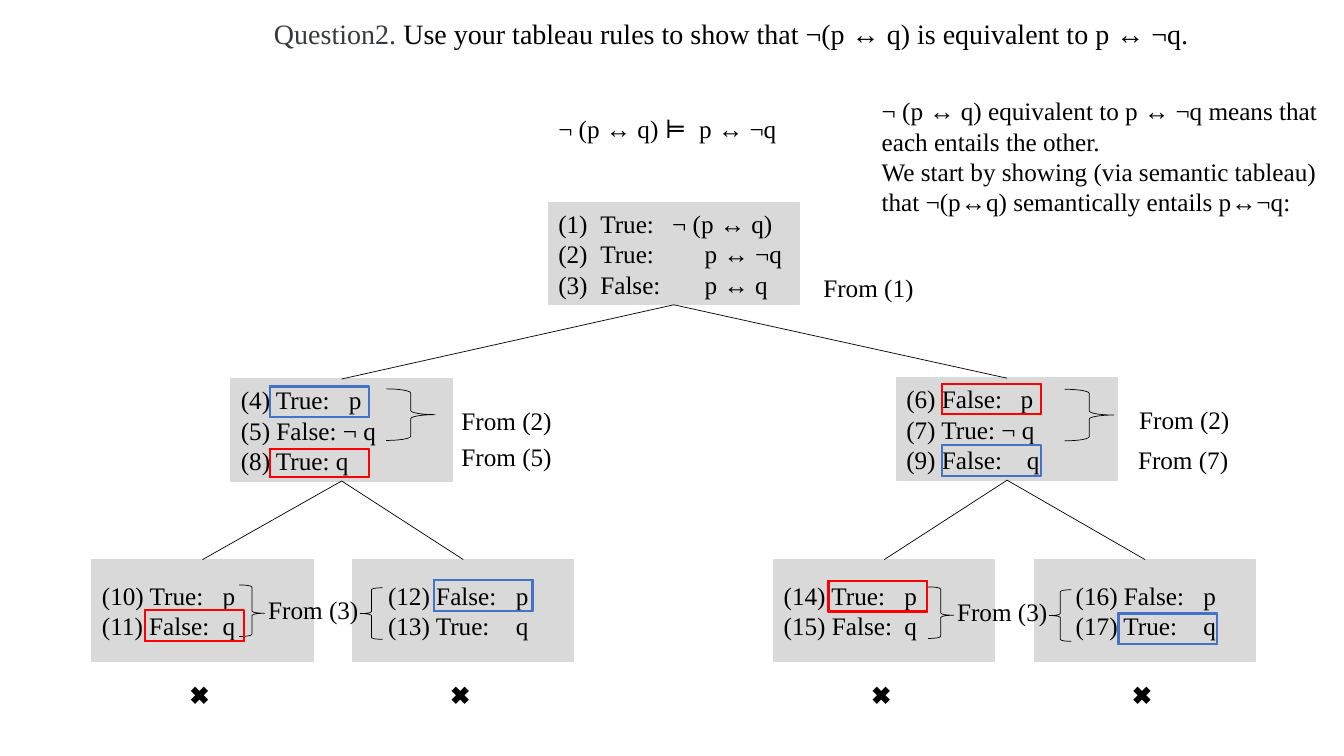
from dataclasses import dataclass

from lxml import etree
from pptx import Presentation
from pptx.dml.color import RGBColor
from pptx.enum.shapes import MSO_CONNECTOR, MSO_SHAPE
from pptx.enum.text import MSO_ANCHOR, MSO_AUTO_SIZE, PP_ALIGN
from pptx.oxml.ns import qn
from pptx.util import Cm, Pt

RECT, FRAME, BRACE = MSO_SHAPE.RECTANGLE, MSO_SHAPE.FRAME, MSO_SHAPE.RIGHT_BRACE
STRAIGHT = MSO_CONNECTOR.STRAIGHT
TOP, MIDDLE = MSO_ANCHOR.TOP, MSO_ANCHOR.MIDDLE
LEFT = PP_ALIGN.LEFT
NO_FIT = MSO_AUTO_SIZE.NONE
BOTTOM_SITE, TOP_SITE = 2, 0


@dataclass(frozen=True)
class Theme:
    ink: RGBColor = RGBColor(0x00, 0x00, 0x00)
    heading: RGBColor = RGBColor(0x37, 0x3A, 0x3C)
    node: RGBColor = RGBColor(0xD9, 0xD9, 0xD9)
    red: RGBColor = RGBColor(0xFF, 0x00, 0x00)
    blue: RGBColor = RGBColor(0x44, 0x72, 0xC4)
    font: str = "Times New Roman"
    symbol_font: str = "Noto Sans CJK JP"
    title_size: Pt = Pt(20)
    body_size: Pt = Pt(18)
    thin: Pt = Pt(0.5)
    outline: Pt = Pt(1)


THEME = Theme()


# Shared helpers
def apply(target, values):
    for name, value in values.items():
        setattr(target, name, value)


def add_run(p, text, color=THEME.ink, size=THEME.body_size, font=THEME.font):
    r = p.add_run()
    r.text = text
    apply(r.font, {"size": size, "name": font})
    r.font.color.rgb = color


def write_rows(tf, rows, font=THEME.font):
    """Each row is its text followed by its tab stops in cm."""
    for i, (text, *stops) in enumerate(rows):
        p = tf.add_paragraph() if i else tf.paragraphs[0]
        p.alignment = LEFT
        if stops:
            tabs = etree.SubElement(p._p.get_or_add_pPr(), qn("a:tabLst"))
            for stop in stops:
                etree.SubElement(tabs, qn("a:tab"), pos=str(Cm(stop)), algn="l")
        add_run(p, text, font=font)


def add_text(slide, box, rows, wrap=False, font=THEME.font):
    sp = slide.shapes.add_textbox(*map(Cm, box))
    apply(sp.text_frame, {"word_wrap": wrap, "vertical_anchor": TOP})
    write_rows(sp.text_frame, rows, font)


def add_reason(slide, x, y, text):
    add_text(slide, (x, y, 2.82, 1.02), [(text,)])


def add_outline(slide, kind, box, line, width, fill=None):
    sp = slide.shapes.add_shape(kind, *map(Cm, box))
    sp.shadow.inherit = False
    if fill is None:
        sp.fill.background()
    else:
        sp.fill.solid()
        sp.fill.fore_color.rgb = fill
    sp.line.color.rgb = line
    sp.line.width = width
    return sp


def add_brace(slide, box, rotation=0, point=0.5):
    sp = add_outline(slide, BRACE, box, THEME.ink, THEME.thin)
    sp.adjustments[1] = point
    sp.rotation = rotation


def add_mark(slide, x, y, color, height=0.79):
    sp = add_outline(slide, FRAME, (x, y, 2.51, height), color, THEME.outline, color)
    sp.adjustments[0] = 0.025


def add_node(slide, box, rows, indent=0.0):
    sp = add_outline(slide, RECT, box, THEME.node, THEME.outline, THEME.node)
    tf = sp.text_frame
    apply(tf, {"word_wrap": True, "vertical_anchor": MIDDLE,
               "margin_left": Cm(0.25 + indent)})
    write_rows(tf, rows)
    return sp


def join(slide, parent, child):
    c = slide.shapes.add_connector(STRAIGHT, 0, 0, 0, 0)
    c.begin_connect(parent, BOTTOM_SITE)
    c.end_connect(child, TOP_SITE)
    c.line.color.rgb = THEME.ink
    c.line.width = THEME.thin
    etree.SubElement(c.element.spPr, qn("a:effectLst"))


# Regions
def heading(slide, box):
    sp = slide.shapes.title
    apply(sp, dict(zip(("left", "top", "width", "height"), map(Cm, box))))
    tf = sp.text_frame
    apply(tf, {"word_wrap": False, "vertical_anchor": TOP, "auto_size": NO_FIT})
    p = tf.paragraphs[0]
    p.alignment = LEFT
    add_run(p, "Question2. ", THEME.heading, THEME.title_size)
    add_run(p, "Use your tableau rules to show that ¬(p ↔ q) is equivalent to p ↔ ¬q.",
            size=THEME.title_size)


def explanation(slide, box):
    add_text(slide, box, [
        ("¬ (p ↔ q) equivalent to p ↔ ¬q means that each entails the other.",),
        ("We start by showing (via semantic tableau) that ¬(p↔q) "
         "semantically entails p↔¬q:",),
    ], wrap=True)


def root(slide, box):
    x, y, w, h = box
    add_text(slide, (x, y - 2.39, 6.12, 1.02), [("¬ (p ↔ q) ⊨\tp ↔ ¬q", 3.55)])
    sp = add_node(slide, box, [("(1)\tTrue:\t¬ (p ↔ q)", 1.06, 2.87),
                               ("(2)\tTrue:\tp ↔ ¬q", 1.06, 3.69),
                               ("(3)\tFalse:\tp ↔ q", 1.06, 3.69)])
    add_reason(slide, x + w + 0.36, y + 1.63, "From (1)")
    return sp


def branch(slide, box, rows, brace_at, reasons, marks):
    x, y, w, h = box
    sp = add_node(slide, box, rows)
    add_brace(slide, (x + brace_at[0], y + brace_at[1], 1.24, 1.3))
    for dx, dy, text in reasons:
        add_reason(slide, x + dx, y + dy, text)
    for dx, dy, *style in marks:
        add_mark(slide, x + dx, y + dy, *style)
    return sp


def leaf_pair(slide, box, parent, leaves, shift=(0, 0)):
    """Two closed leaves; shift moves the shared reason and its braces."""
    x, y, w, h = box
    step = 6.57
    for i, (rows, indent, _) in enumerate(leaves):
        left = x + i * step
        join(slide, parent, add_node(slide, (left, y, w, h), rows, indent))
        add_text(slide, (left + 2.21, y + 2.9, 1.14, 1.02), [("✖️",)],
                 font=THEME.symbol_font)
    sx, sy = x + shift[0], y + shift[1]
    add_reason(slide, sx + 4.19, sy + 0.76, "From (3)")
    add_brace(slide, (sx + 3.71, sy + 0.64, 0.64, 1.3), point=0.55)
    add_brace(slide, (sx + 6.76, sy + 0.71, 0.56, 1.3), rotation=180)
    for i, (_, _, (dx, dy, color)) in enumerate(leaves):
        add_mark(slide, x + i * step + dx, y + dy, color)


def main():
    prs = Presentation()
    prs.slide_width, prs.slide_height = Cm(33.87), Cm(19.05)
    slide = prs.slides.add_slide(prs.slide_layouts[5])
    red, blue = THEME.red, THEME.blue

    heading(slide, (6.65, 0.3, 23.72, 1.12))
    explanation(slide, (21.97, 2.29, 11.52, 4.11))

    # Upper levels of the tableau
    top = root(slide, (13.82, 5.11, 6.32, 2.57))
    p_true = branch(
        slide, (5.82, 9.55, 5.58, 2.57),
        [("(4) True:\tp", 2.72), ("(5) False: ¬ q",), ("(8) True: q",)],
        (3.91, 0.25),
        [(5.56, 0.53, "From (2)"), (5.56, 1.45, "From (5)")],
        [(0.97, 0.18, blue), (0.97, 1.75, red, 0.74)])
    p_false = branch(
        slide, (22.59, 9.53, 5.58, 2.57),
        [("(6) False:\tp", 2.88), ("(7) True: ¬ q",), ("(9) False:\tq", 3.04)],
        (4.24, 0.28),
        [(5.87, 0.53, "From (2)"), (5.84, 1.55, "From (7)")],
        [(1.14, 0.13, red), (1.14, 1.68, blue)])
    for child in (p_true, p_false):
        join(slide, top, child)

    # Closed leaves: rows, indent, mark
    leaf_pair(slide, (2.32, 14.1, 5.57, 2.57), p_true, [
        ([("(10) True:\tp", 3.04), ("(11) False:\tq", 3.04)], 0, (1.32, 1.27, red)),
        ([("(12) False:\tp", 3.22), ("(13) True:\tq", 3.22)], 0.64, (2.03, 0.51, blue)),
    ])
    leaf_pair(slide, (19.5, 14.1, 5.57, 2.57), p_false, [
        ([("(14) True:\tp", 3.04), ("(15) False:\tq", 3.04)], 0, (1.37, 0.53, red)),
        ([("(16) False:\tp", 3.22), ("(17) True:\tq", 3.22)], 0.79, (2.11, 1.35, blue)),
    ], shift=(0.18, 0.05))

    prs.save("out.pptx")


if __name__ == "__main__":
    main()
